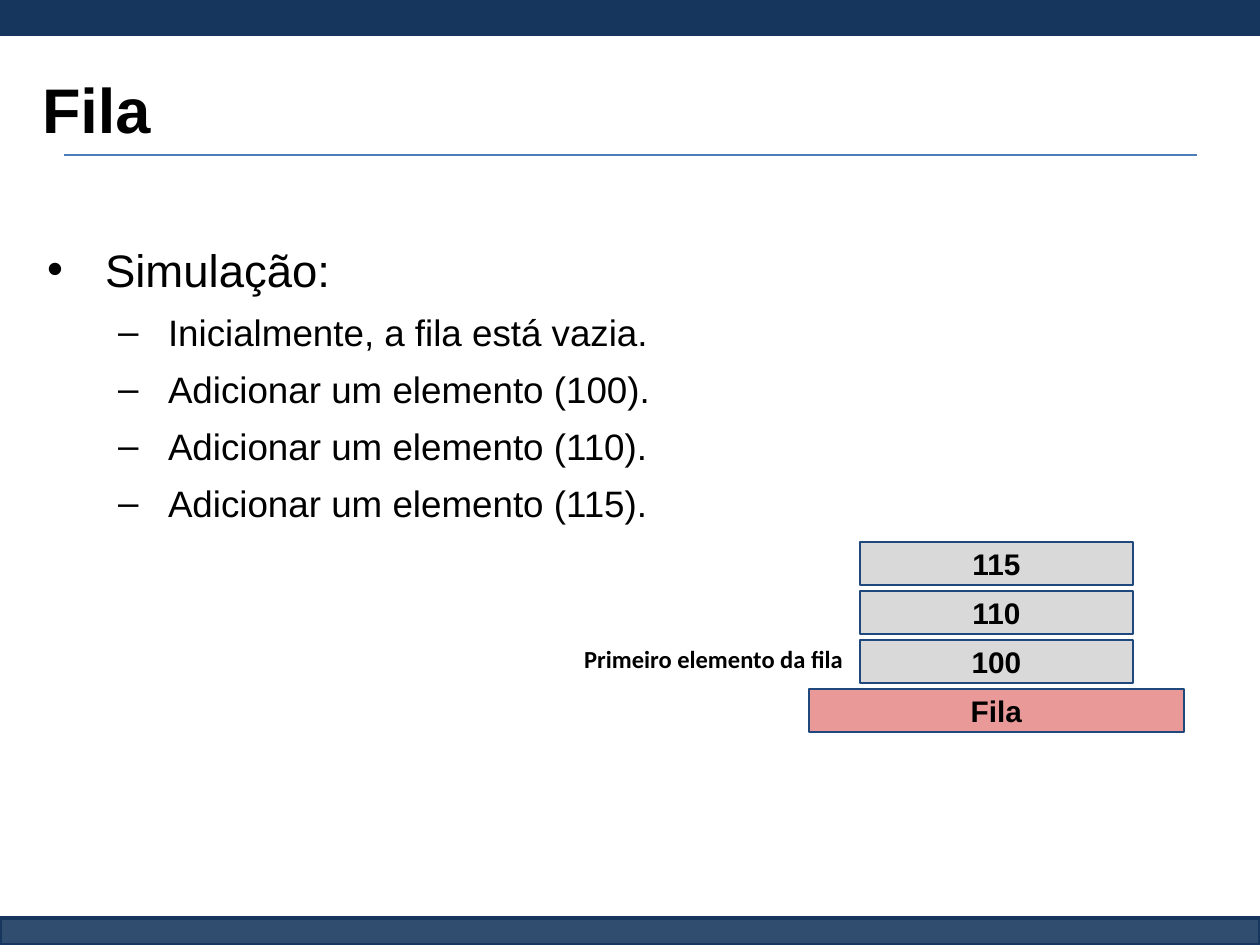
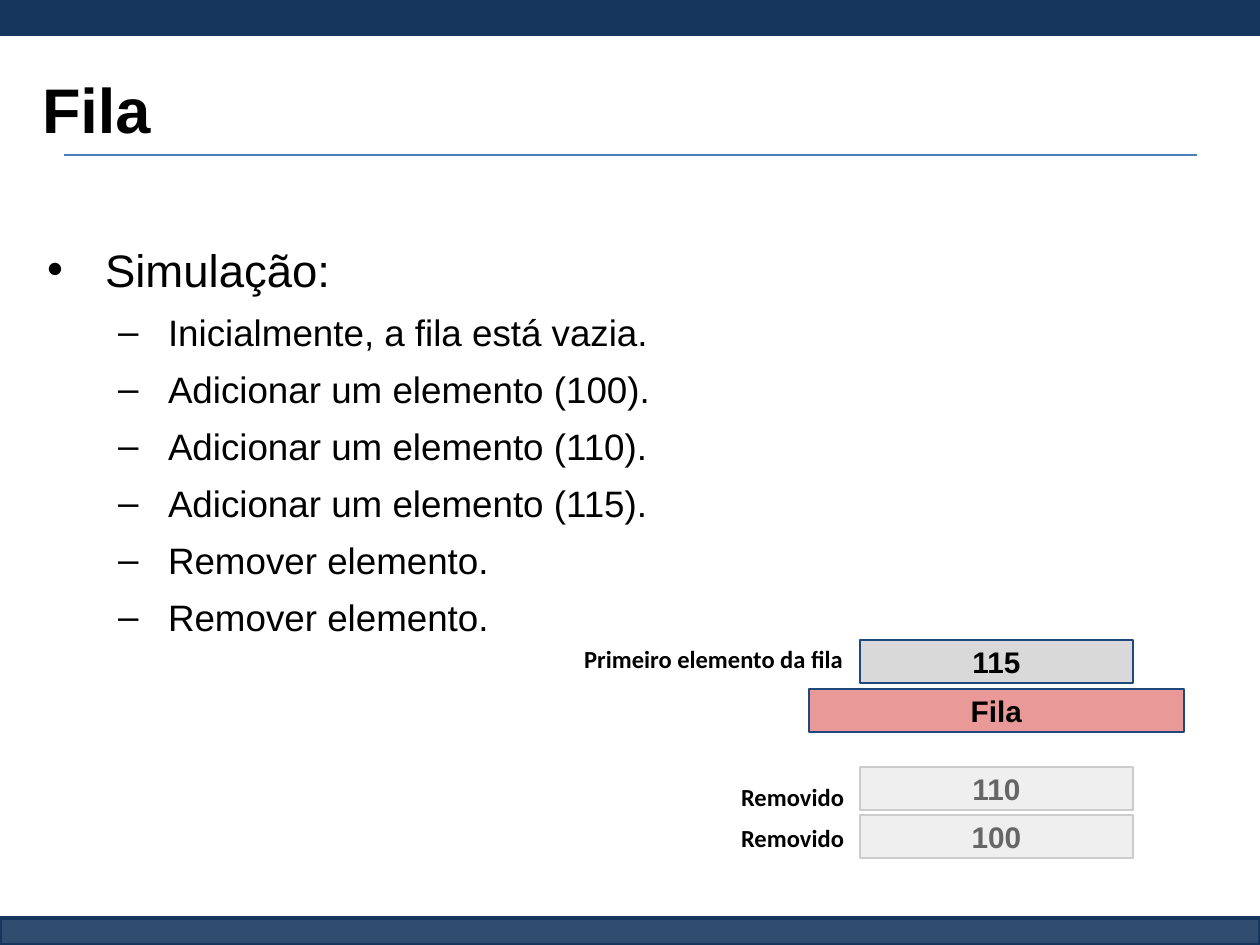
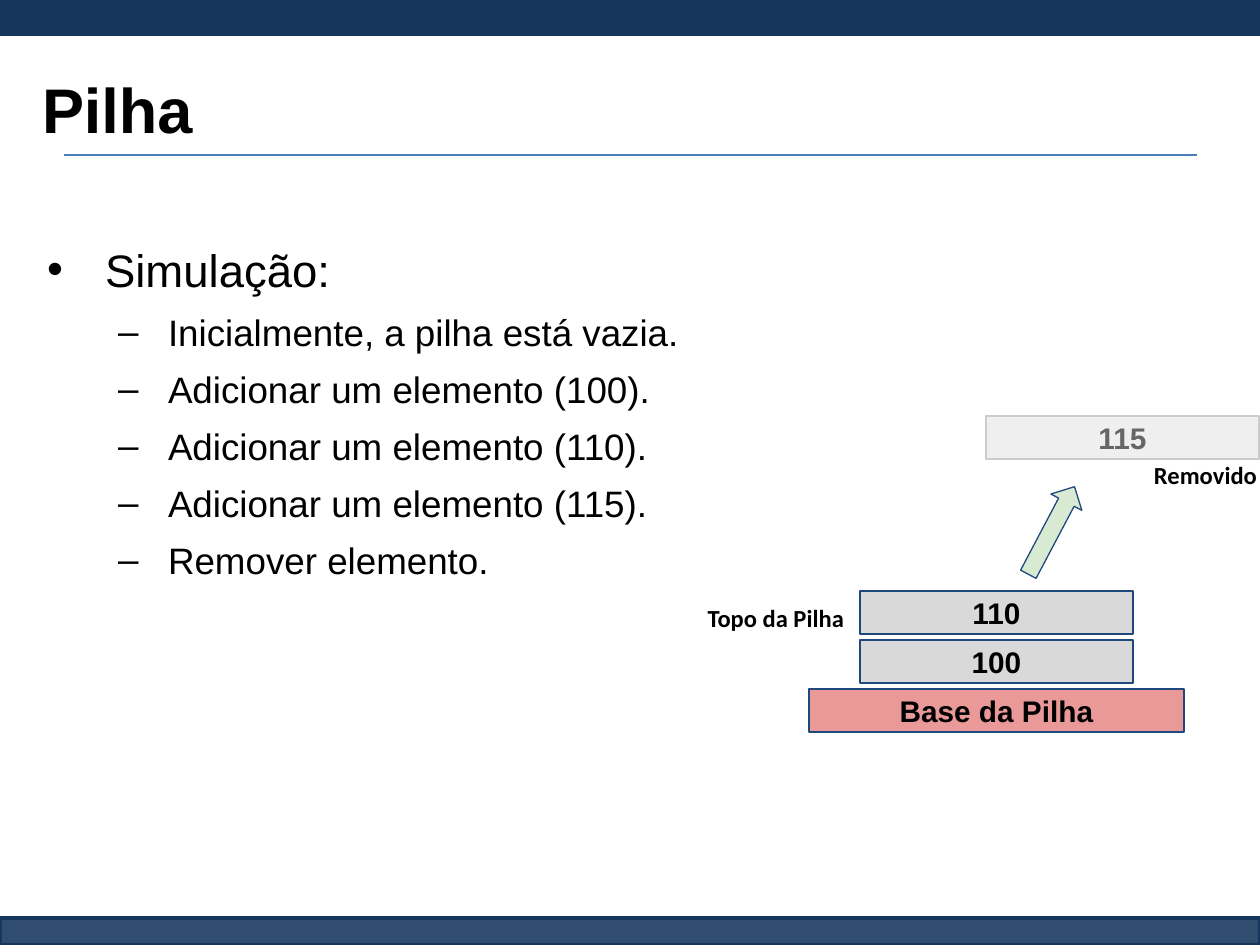
from lxml.etree import SubElement as Sub
from pptx import Presentation as Deck
from pptx.dml.color import RGBColor as Color
from pptx.enum.shapes import MSO_CONNECTOR as Link, MSO_SHAPE as Form
from pptx.enum.text import MSO_ANCHOR as Anchor, PP_ALIGN as Align
from pptx.oxml.ns import qn
from pptx.util import Pt

SCALE = 914400 / 126
PITCH = 49
BASE = 689

HUES = {
    "navy": "17365D",
    "rule": "4A7DBA",
    "edge": "1F497D",
    "ink": "000000",
    "rose": "EA9999",
    "gray": "D9D9D9",
    "pale": "EFEFEF",
    "mist": "CCCCCC",
    "dim": "666666",
    "green": "D9EAD3",
}

FONTS = {
    "title": {"name": "Arial", "size": Pt(36), "bold": True},
    "head": {"name": "Arial", "size": Pt(26), "bold": False},
    "item": {"name": "Arial", "size": Pt(21), "bold": False},
    "block": {"name": "Arial", "size": Pt(17), "bold": True},
    "label": {"name": "Calibri", "size": Pt(14), "bold": True},
}

MARKS = {
    "head": ("•", 63, -58),
    "item": ("–", 126, -50),
}

FRAME = {
    "word_wrap": True,
    "margin_left": round(13 * SCALE),
    "margin_right": round(13 * SCALE),
    "margin_top": round(13 * SCALE),
    "margin_bottom": round(13 * SCALE),
}


def px(*sizes):
    return [round(size * SCALE) for size in sizes]


def hue(name):
    return Color.from_string(HUES[name])


def apply(target, values):
    for key, value in values.items():
        setattr(target, key, value)


def write(para, text, font, ink="ink", align=Align.LEFT):
    para.alignment = align
    run = para.add_run()
    run.text = text
    apply(run.font, FONTS[font])
    run.font.color.rgb = hue(ink)


def add_box(slide, area, text, font, align=Align.LEFT, anchor=Anchor.TOP):
    frame = slide.shapes.add_textbox(*px(*area)).text_frame
    apply(frame, {**FRAME, "vertical_anchor": anchor})
    write(frame.paragraphs[0], text, font, align=align)


def add_form(slide, area, fill, edge=None, width=0.75, form=Form.RECTANGLE):
    shape = slide.shapes.add_shape(form, *px(*area))
    shape.shadow.inherit = False
    shape.fill.solid()
    shape.fill.fore_color.rgb = hue(fill)
    if edge:
        shape.line.color.rgb = hue(edge)
        shape.line.width = Pt(width)
    else:
        shape.line.fill.background()
    return shape


def add_block(slide, area, text, fill="gray", edge="edge", ink="ink"):
    frame = add_form(slide, area, fill, edge).text_frame
    apply(frame, {**FRAME, "vertical_anchor": Anchor.MIDDLE})
    write(frame.paragraphs[0], text, "block", ink, Align.CENTER)


def add_stack(slide, base, items):
    add_block(slide, (809, BASE, 375, 43), base, "rose")
    for step, item in enumerate(items, 1):
        add_block(slide, (860, BASE - step * PITCH, 273, 43), item)


def add_gone(slide, left, top, text):
    add_block(slide, (left, top, 273, 43), text, "pale", "mist", "dim")


def add_label(slide, left, top, text, align=Align.RIGHT):
    add_box(slide, (left, top, 286, 55), text, "label", align)


def add_mark(para, font):
    mark, left, indent = MARKS[font]
    props = para._p.get_or_add_pPr()
    props.set("marL", str(round(left * SCALE)))
    props.set("indent", str(round(indent * SCALE)))
    tint = Sub(props, qn("a:buClr"))
    Sub(tint, qn("a:srgbClr"), val=HUES["ink"])
    Sub(props, qn("a:buFont"), typeface="Arial")
    Sub(props, qn("a:buChar"), char=mark)


def add_list(slide, height, items):
    frame = slide.shapes.add_textbox(*px(29, 159, 1201, height)).text_frame
    apply(frame, {**FRAME, "margin_top": px(83)[0]})
    lines = [("Simulação:", "head")] + [(item, "item") for item in items]
    for index, (text, font) in enumerate(lines):
        para = frame.add_paragraph() if index else frame.paragraphs[0]
        para.space_before = Pt(7.4 if index else 0)
        write(para, text, font)
        add_mark(para, font)


def add_page(deck, title):
    slide = deck.slides.add_slide(deck.slide_layouts[6])
    foot = add_form(slide, (0, 918, 1260, 27), "navy", "navy", 2)
    tint = foot.fill._xPr.find(qn("a:solidFill"))[0]
    Sub(tint, qn("a:alpha"), val="89000")
    add_form(slide, (0, 0, 1260, 36), "navy")
    rule = slide.shapes.add_connector(Link.STRAIGHT, *px(64, 155, 1197, 155))
    rule.line.color.rgb = hue("rule")
    rule.line.width = Pt(0.75)
    Sub(rule._element.spPr, qn("a:effectLst"))
    add_box(slide, (29, 35, 1201, 147), title, "title", anchor=Anchor.MIDDLE)
    return slide


def get_steps(kind, drops):
    adds = [f"Adicionar um elemento ({value})." for value in (100, 110, 115)]
    return [f"Inicialmente, a {kind} está vazia.", *adds] + ["Remover elemento."] * drops


def main():
    deck = Deck()
    deck.slide_width, deck.slide_height = px(1260, 945)

    slide = add_page(deck, "Fila")
    add_list(slide, 748, get_steps("fila", 0))
    add_stack(slide, "Fila", ["100", "110", "115"])
    add_label(slide, 571, 631, "Primeiro elemento da fila", Align.LEFT)

    slide = add_page(deck, "Fila")
    add_list(slide, 593, get_steps("fila", 2))
    add_stack(slide, "Fila", ["115"])
    add_label(slide, 571, 631, "Primeiro elemento da fila", Align.LEFT)
    for text, top, note in (("110", 767, 769), ("100", 815, 810)):
        add_gone(slide, 860, top, text)
        add_label(slide, 571, note, "Removido")

    slide = add_page(deck, "Pilha")
    add_list(slide, 748, get_steps("pilha", 1))
    add_stack(slide, "Base da Pilha", ["100", "110"])
    add_label(slide, 571, 590, "Topo da Pilha")
    add_gone(slide, 986, 416, "115")
    add_label(slide, 984, 447, "Removido")
    arrow = add_form(slide, (1002, 513, 99, 35), "green", "edge", form=Form.RIGHT_ARROW)
    arrow.rotation = 297.8

    deck.save("out.pptx")


if __name__ == "__main__":
    main()
